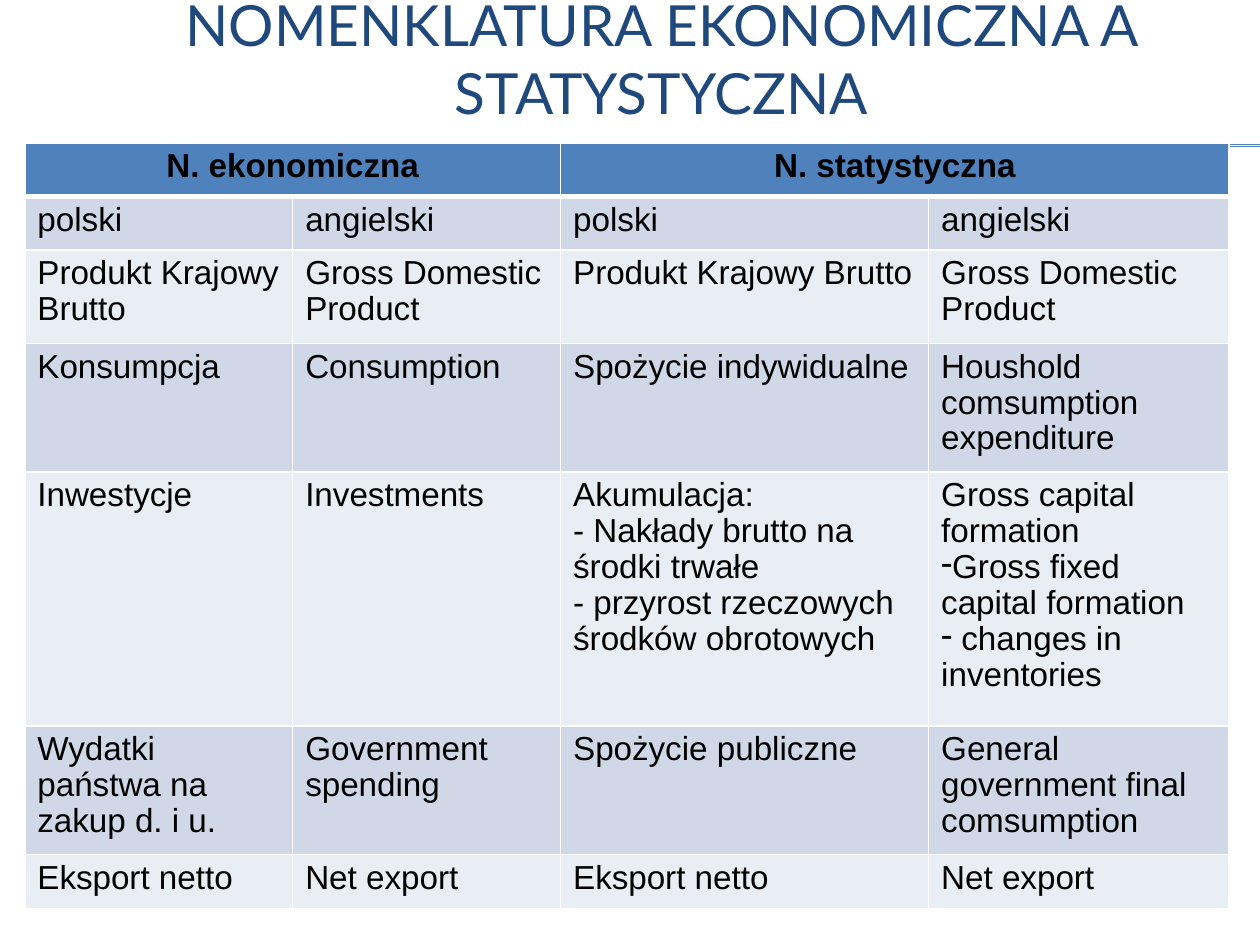
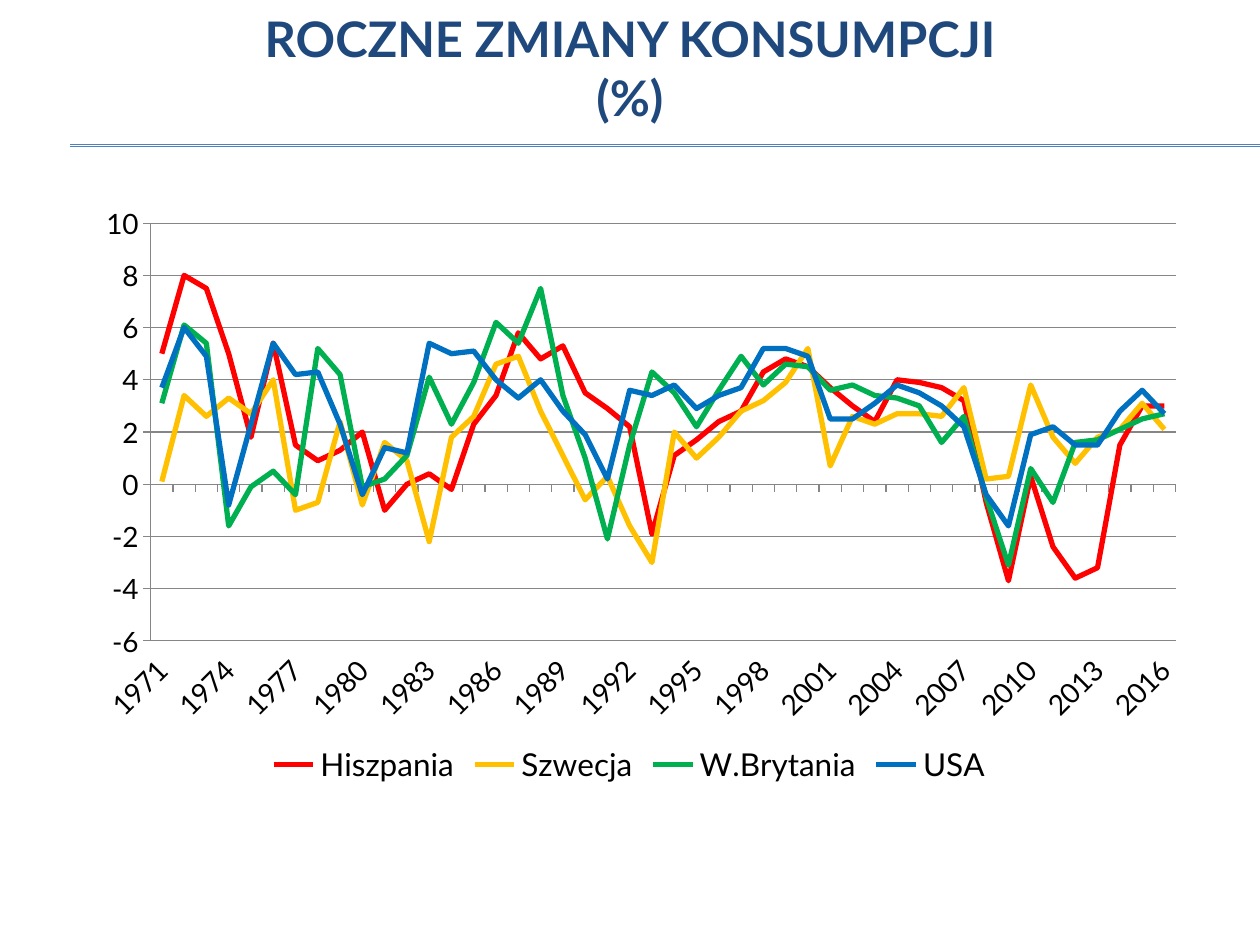
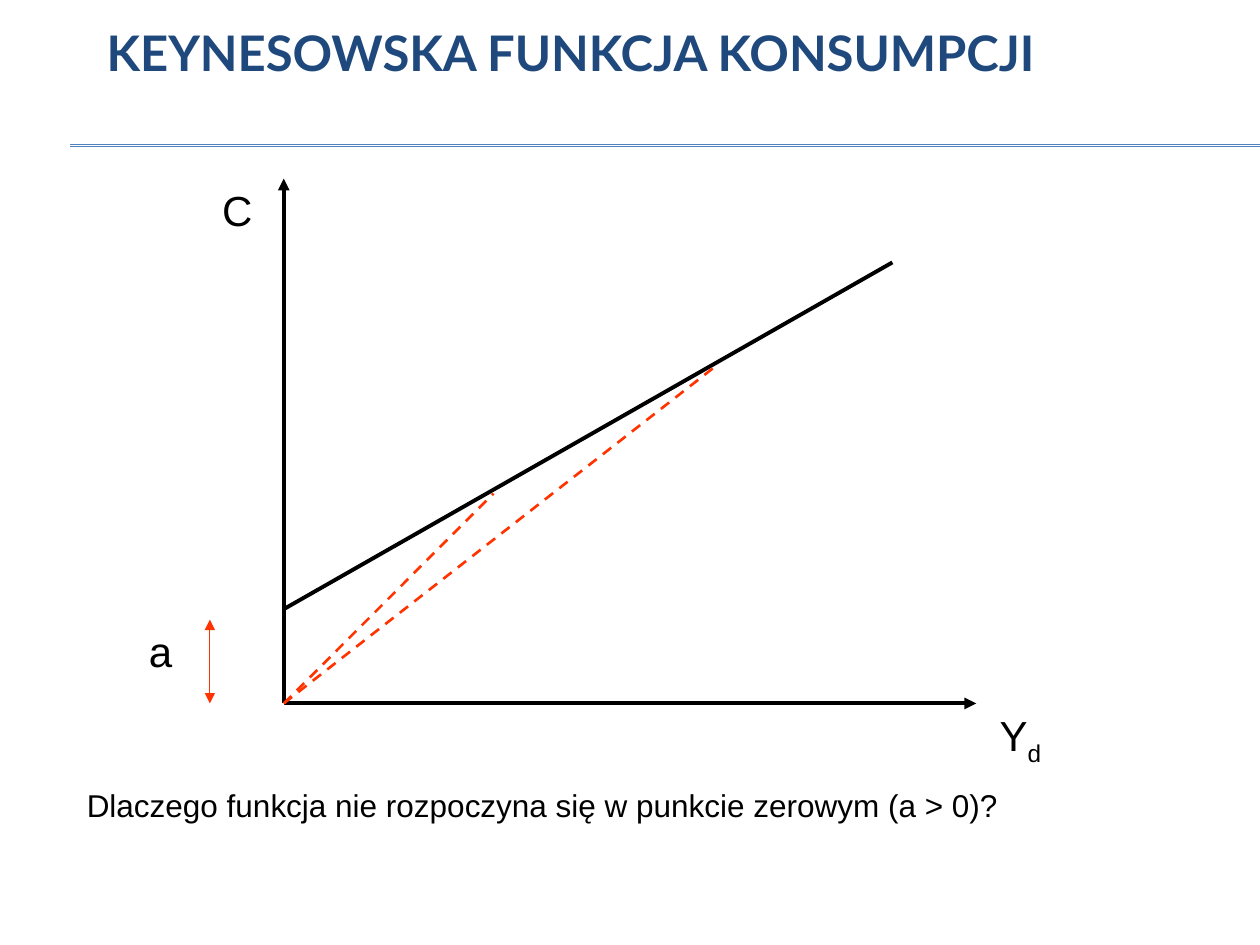
from lxml import etree
from pptx import Presentation
from pptx.chart.data import CategoryChartData
from pptx.dml.color import RGBColor
from pptx.enum.chart import XL_CHART_TYPE, XL_LEGEND_POSITION, XL_TICK_LABEL_POSITION, XL_TICK_MARK
from pptx.enum.dml import MSO_LINE
from pptx.enum.shapes import MSO_CONNECTOR
from pptx.enum.text import MSO_ANCHOR, MSO_AUTO_SIZE, PP_ALIGN
from pptx.oxml import parse_xml
from pptx.oxml.ns import nsdecls, qn
from pptx.util import Cm, Pt

NAVY = RGBColor(0x1F, 0x49, 0x7D)
BLUE = RGBColor(0x4F, 0x81, 0xBD)
BAND_DARK = RGBColor(0xD0, 0xD8, 0xE8)
BAND_LIGHT = RGBColor(0xE9, 0xED, 0xF4)
GRID_GRAY = RGBColor(0x86, 0x86, 0x86)
BLACK = RGBColor(0, 0, 0)
ORANGE = RGBColor(0xFF, 0x33, 0x00)
RED = RGBColor(0xFF, 0, 0)
YELLOW = RGBColor(0xFF, 0xC0, 0)
GREEN = RGBColor(0, 0xB0, 0x50)
SERIES_BLUE = RGBColor(0, 0x70, 0xC0)
TITLE_FONT, BODY_FONT = "Lato", "Arial"

prs = Presentation()
prs.slide_width, prs.slide_height = Cm(25.4), Cm(19.05)


def draw_line(slide, start, end, color, width, dash=None, arrows=()):
    """Draw a straight line; arrows lists "headEnd" (start) and "tailEnd" (end)."""
    line = slide.shapes.add_connector(MSO_CONNECTOR.STRAIGHT, *map(Cm, start + end))
    line.line.color.rgb = color
    line.line.width = Pt(width)
    if dash:
        line.line.dash_style = dash
    for arrow in arrows:
        etree.SubElement(line.line._get_or_add_ln(), qn(f"a:{arrow}"), type="triangle")
    etree.SubElement(line._element.spPr, qn("a:effectLst"))


def start_slide(title, left, width, height, size=28, bold=True, align=PP_ALIGN.CENTER):
    """Add a slide with the double rule and its title."""
    slide = prs.slides.add_slide(prs.slide_layouts[6])
    for rule_y in (2.92, 2.95):
        draw_line(slide, (1.42, rule_y), (25.4, rule_y), BLUE, 0.75)
    frame = slide.shapes.add_textbox(Cm(left), 0, Cm(width), Cm(height)).text_frame
    frame.word_wrap = True
    frame.vertical_anchor = MSO_ANCHOR.MIDDLE
    frame.text = title
    frame.paragraphs[0].alignment = align
    for run in frame.paragraphs[0].runs:
        run.font.name, run.font.size, run.font.bold = TITLE_FONT, Pt(size), bold
        run.font.color.rgb = NAVY
    return slide


# Slide 1: terms
slide = start_slide("NOMENKLATURA EKONOMICZNA A STATYSTYCZNA", 1.27, 24.13, 2.34, 32.4, False)
terms = [
    ["N. ekonomiczna", "", "N. statystyczna", ""],
    ["polski", "angielski", "polski", "angielski"],
    ["Produkt Krajowy Brutto", "Gross Domestic Product"] * 2,
    ["Konsumpcja", "Consumption", "Spożycie indywidualne", "Houshold comsumption expenditure"],
    ["Inwestycje", "Investments",
     "Akumulacja:\n- Nakłady brutto na środki trwałe\n- przyrost rzeczowych środków obrotowych",
     "Gross capital formation\nGross fixed capital formation\n changes in inventories"],
    ["Wydatki państwa na zakup d. i u.", "Government spending", "Spożycie publiczne",
     "General government final comsumption"],
    ["Eksport netto", "Net export"] * 2,
]
column_widths = [5.4, 5.4, 7.42, 6.06]
row_heights = [1.08, 1.08, 1.88, 1.88, 5.12, 1.88, 1.08]
table = slide.shapes.add_table(len(terms), 4, Cm(0.5), Cm(2.88),
                               Cm(sum(column_widths)), Cm(sum(row_heights))).table
for column, width in zip(table.columns, column_widths):
    column.width = Cm(width)
for row, height in zip(table.rows, row_heights):
    row.height = Cm(height)
for r, row_terms in enumerate(terms):
    header = r == 0
    for c, term in enumerate(row_terms):
        cell = table.cell(r, c)
        cell.text = term
        for side in "LRTB":
            thick = (r, side) in ((0, "B"), (1, "T"))
            cell._tc.get_or_add_tcPr().append(parse_xml(
                f'<a:ln{side} {nsdecls("a")} w="{Pt(3 if thick else 1)}"><a:solidFill>'
                f'<a:srgbClr val="FFFFFF"/></a:solidFill></a:ln{side}>'))
        cell.fill.solid()
        cell.fill.fore_color.rgb = BLUE if header else BAND_DARK if r % 2 else BAND_LIGHT
        for paragraph in cell.text_frame.paragraphs:
            paragraph.line_spacing = 0.97
            paragraph.alignment = PP_ALIGN.CENTER if header else PP_ALIGN.LEFT
            for run in paragraph.runs:
                run.font.name, run.font.size, run.font.bold = BODY_FONT, Pt(19), header
                run.font.color.rgb = BLACK
for c in (0, 2):
    table.cell(0, c).merge(table.cell(0, c + 1))
for paragraph in table.cell(4, 3).text_frame.paragraphs[1:]:
    etree.SubElement(paragraph._p.get_or_add_pPr(), qn("a:buChar"), char="-")

# Slide 2: consumption changes
slide = start_slide("ROCZNE ZMIANY KONSUMPCJI\v(%)", 1.9, 21.6, 2.72)
consumption = [
    ("Hiszpania", RED,
     [5, 8, 7.5, 5, 1.8, 5.4, 1.5, 0.9, 1.3, 2, -1, 0, 0.4, -0.2, 2.3, 3.4, 5.8, 4.8, 5.3, 3.5,
      2.9, 2.2, -1.9, 1.1, 1.7, 2.4, 2.8, 4.3, 4.8, 4.5, 3.7, 3, 2.4, 4, 3.9, 3.7, 3.2, -0.7,
      -3.7, 0.3, -2.4, -3.6, -3.2, 1.5, 3, 3]),
    ("Szwecja", YELLOW,
     [0.1, 3.4, 2.6, 3.3, 2.7, 4, -1, -0.7, 2.4, -0.8, 1.6, 0.9, -2.2, 1.8, 2.6, 4.6, 4.9, 2.8,
      1.1, -0.6, 0.3, -1.6, -3, 2, 1, 1.8, 2.8, 3.2, 3.9, 5.2, 0.7, 2.6, 2.3, 2.7, 2.7, 2.6,
      3.7, 0.2, 0.3, 3.8, 1.8, 0.8, 1.8, 2.1, 3.1, 2.1]),
    ("W.Brytania", GREEN,
     [3.1, 6.1, 5.4, -1.6, -0.1, 0.5, -0.4, 5.2, 4.2, -0.1, 0.2, 1.1, 4.1, 2.3, 3.9, 6.2, 5.4,
      7.5, 3.4, 1, -2.1, 1.5, 4.3, 3.5, 2.2, 3.6, 4.9, 3.8, 4.6, 4.5, 3.6, 3.8, 3.4, 3.3, 3,
      1.6, 2.6, -0.5, -3.1, 0.6, -0.7, 1.6, 1.7, 2.1, 2.5, 2.7]),
    ("USA", SERIES_BLUE,
     [3.7, 6, 4.9, -0.8, 2.3, 5.4, 4.2, 4.3, 2.3, -0.4, 1.4, 1.2, 5.4, 5, 5.1, 4, 3.3, 4, 2.8,
      1.9, 0.2, 3.6, 3.4, 3.8, 2.9, 3.4, 3.7, 5.2, 5.2, 4.9, 2.5, 2.5, 3.1, 3.8, 3.5, 3, 2.2,
      -0.4, -1.6, 1.9, 2.2, 1.5, 1.5, 2.8, 3.6, 2.7]),
]
chart_data = CategoryChartData()
chart_data.categories = [str(year) for year in range(1971, 2017)]
for country, _, changes in consumption:
    chart_data.add_series(country, changes)
chart = slide.shapes.add_chart(XL_CHART_TYPE.LINE, Cm(1.09), Cm(4.11), Cm(23.19), Cm(11.81),
                               chart_data).chart
chart.has_title = False
chart.font.name, chart.font.size = TITLE_FONT, Pt(10)
chart.font.color.rgb = BLACK
chart.plots[0].vary_by_categories = False
for series, (_, color, _) in zip(chart.plots[0].series, consumption):
    series.smooth = False
    series.format.line.color.rgb = color
    series.format.line.width = Pt(3)
years, percents = chart.category_axis, chart.value_axis
percents.minimum_scale, percents.maximum_scale, percents.major_unit = -6, 10, 2
percents.has_major_gridlines = True
years.tick_label_position = XL_TICK_LABEL_POSITION.LOW
for axis in (years, percents):
    axis.major_tick_mark = XL_TICK_MARK.OUTSIDE
    axis.tick_labels.font.size = Pt(16)
for line in (years.format.line, percents.format.line, percents.major_gridlines.format.line):
    line.color.rgb = GRID_GRAY
    line.width = Pt(0.75)
years._element.find(qn("c:txPr")).find(qn("a:bodyPr")).set("rot", "-2700000")
chart.has_legend = True
chart.legend.position = XL_LEGEND_POSITION.BOTTOM
chart.legend.include_in_layout = False
chart.legend.font.size = Pt(18)
plot_area = chart._chartSpace.chart.plotArea
for layout in plot_area.findall(qn("c:layout")):
    plot_area.remove(layout)
plot_area.insert(0, parse_xml(
    f'<c:layout {nsdecls("c")}><c:manualLayout><c:layoutTarget val="inner"/>'
    '<c:xMode val="edge"/><c:yMode val="edge"/><c:x val="0.084"/><c:y val="0.033"/>'
    '<c:w val="0.891"/><c:h val="0.713"/></c:manualLayout></c:layout>'))

# Slide 3: consumption function
slide = start_slide("KEYNESOWSKA FUNKCJA KONSUMPCJI", 1.9, 21.6, 2.11, align=PP_ALIGN.LEFT)
origin = (5.72, 14.18)
for axis_end in ((5.72, 3.6), (19.68, 14.18)):
    draw_line(slide, origin, axis_end, BLACK, 2.25, arrows=["tailEnd"])
draw_line(slide, (5.72, 12.28), (17.99, 5.29), BLACK, 2.25)
for ray_end in ((9.95, 9.95), (14.39, 7.41)):
    draw_line(slide, origin, ray_end, ORANGE, 1.5, MSO_LINE.DASH)
draw_line(slide, (4.23, 14.18), (4.23, 12.49), ORANGE, 0.75, arrows=["headEnd", "tailEnd"])
labels = [
    ("C", "", 4.23, 3.6, 1.27, 1.27, 24),
    ("Y", "d", 19.9, 14.18, 1.48, 1.27, 24),
    ("a", "", 2.75, 12.49, 1.27, 1.27, 24),
    ("Dlaczego funkcja nie rozpoczyna się w punkcie zerowym (a > 0)?", "",
     1.5, 15.72, 20.4, 1.02, 18),
]
for text, subscript, left, top, width, height, size in labels:
    frame = slide.shapes.add_textbox(Cm(left), Cm(top), Cm(width), Cm(height)).text_frame
    frame.word_wrap = True
    frame.auto_size = MSO_AUTO_SIZE.SHAPE_TO_FIT_TEXT
    frame.text = text
    paragraph = frame.paragraphs[0]
    if subscript:
        index = paragraph.add_run()
        index.text = subscript
        index._r.get_or_add_rPr().set("baseline", "-25000")
    for run in paragraph.runs:
        run.font.name, run.font.size = BODY_FONT, Pt(size)
        run.font.color.rgb = BLACK

prs.save("out.pptx")
